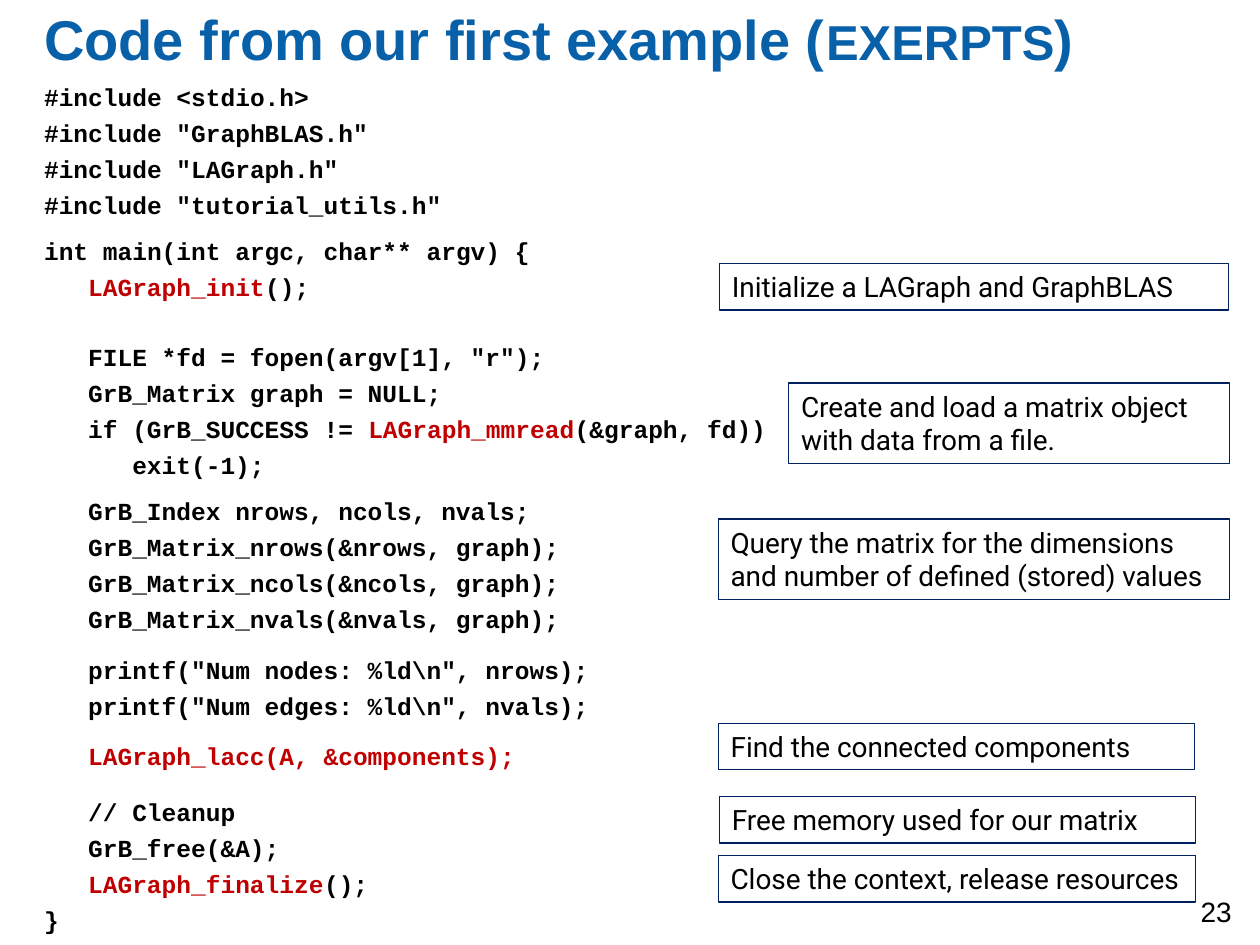
"""Build the annotated LAGraph example code slide."""
from dataclasses import dataclass

import pptx
import pptx.dml.color
import pptx.enum.shapes
import pptx.enum.text
import pptx.util
from pptx.util import Inches

COLORS = {"title": "0860A8", "text": "000000", "call": "C00000", "border": "002060"}
LINE_GAP = 3.75
INDENT = 0.35


@dataclass
class CodeLine:
    text: str = ""
    call: str = ""
    tail: str = ""
    level: int = 1
    gap: float = 0


@dataclass
class Callout:
    text: str
    left: float
    top: float
    width: float
    height: float = 0.37


CODE = [
    CodeLine("#include <stdio.h>", level=0),
    CodeLine('#include "GraphBLAS.h"', level=0),
    CodeLine('#include "LAGraph.h"', level=0),
    CodeLine('#include "tutorial_utils.h"', level=0),
    CodeLine("int main(int argc, char** argv) {", level=0, gap=6),
    CodeLine(call="LAGraph_init", tail="();"),
    CodeLine('FILE *fd = fopen(argv[1], "r");', gap=19.6),
    CodeLine("GrB_Matrix graph = NULL;"),
    CodeLine("if (GrB_SUCCESS != ", "LAGraph_mmread", "(&graph, fd))"),
    CodeLine("exit(-1);", level=2),
    CodeLine("GrB_Index nrows, ncols, nvals;", gap=5.6),
    CodeLine("GrB_Matrix_nrows(&nrows, graph);"),
    CodeLine("GrB_Matrix_ncols(&ncols, graph);"),
    CodeLine("GrB_Matrix_nvals(&nvals, graph);"),
    CodeLine(r'printf("Num nodes: %ld\n", nrows);', gap=8.4),
    CodeLine(r'printf("Num edges: %ld\n", nvals);'),
    CodeLine(call="LAGraph_lacc(A, &components);", gap=8.4),
    CodeLine("// Cleanup", gap=11.2),
    CodeLine("GrB_free(&A);"),
    CodeLine(call="LAGraph_finalize", tail="();"),
    CodeLine("}", level=0),
]

CALLOUTS = [
    Callout("Initialize a LAGraph and GraphBLAS", 5.71, 2.09, 4.04),
    Callout("Create and load a matrix object with data from a file.", 6.26, 3.04, 3.5, 0.64),
    Callout("Query the matrix for the dimensions and number of defined (stored) values",
            5.7, 4.12, 4.06, 0.64),
    Callout("Find the connected components", 5.7, 5.74, 3.78),
    Callout("Free memory used for our matrix", 5.71, 6.32, 3.78),
    Callout("Close the context, release resources", 5.7, 6.79, 3.79),
]


def rgb(name: str) -> pptx.dml.color.RGBColor:
    """Return the named colour."""
    return pptx.dml.color.RGBColor.from_string(COLORS[name])


def set_font(font, name: str, size: float, color: str, bold: bool = False) -> None:
    """Set typeface, size, colour and weight."""
    font.name, font.size, font.bold = name, pptx.util.Pt(size), bold
    font.color.rgb = rgb(color)


def add_box(s, left: float, top: float, width: float, height: float, inset: bool = True):
    """Add a wrapping text box and return its text frame."""
    tf = s.shapes.add_textbox(Inches(left), Inches(top), Inches(width), Inches(height)).text_frame
    tf.word_wrap = True
    if not inset:
        tf.margin_left = tf.margin_right = tf.margin_top = tf.margin_bottom = 0
    return tf


def add_title(s) -> None:
    """Add the title with its smaller last word."""
    tf = add_box(s, 0.35, 0, 9.01, 0.6, inset=False)
    tf.vertical_anchor = pptx.enum.text.MSO_ANCHOR.MIDDLE
    p = tf.paragraphs[0]
    for text, size in (("Code from our first example (", 32), ("EXERPTS", 28), (")", 32)):
        r = p.add_run()
        r.text = text
        set_font(r.font, "Arial", size, "title", True)


def add_code(s, lines: list[CodeLine]) -> None:
    """Add the listing with library calls highlighted."""
    tf = add_box(s, 0.35, 0.65, 6.36, 6.84, inset=False)
    for i, line in enumerate(lines):
        p = tf.add_paragraph() if i else tf.paragraphs[0]
        p.space_before = pptx.util.Pt(LINE_GAP + line.gap)
        p._p.get_or_add_pPr().set("marL", str(Inches(INDENT * line.level)))
        set_font(p.font, "Courier New", 14, "text", True)
        for text, color in ((line.text, "text"), (line.call, "call"), (line.tail, "text")):
            if text:
                r = p.add_run()
                r.text = text
                r.font.color.rgb = rgb(color)


def add_callout(s, c: Callout) -> None:
    """Add one outlined explanation."""
    sp = s.shapes.add_shape(pptx.enum.shapes.MSO_SHAPE.RECTANGLE, Inches(c.left),
                            Inches(c.top), Inches(c.width), Inches(c.height))
    sp.shadow.inherit = False
    sp.fill.background()
    sp.line.color.rgb = rgb("border")
    sp.line.width = pptx.util.Pt(0.75)
    tf = sp.text_frame
    tf.word_wrap = True
    tf.vertical_anchor = pptx.enum.text.MSO_ANCHOR.TOP
    p = tf.paragraphs[0]
    p.text = c.text
    p.alignment = pptx.enum.text.PP_ALIGN.LEFT
    set_font(p.font, "Roboto", 16, "text")


def add_page_number(s, number: int) -> None:
    """Add the page number in the corner."""
    p = add_box(s, 9.43, 7.05, 0.51, 0.33).paragraphs[0]
    p.text = str(number)
    set_font(p.font, "Arial", 16, "text")


def main() -> None:
    """Build and save the slide."""
    prs = pptx.Presentation()
    prs.slide_width, prs.slide_height = Inches(10), Inches(7.5)
    s = prs.slides.add_slide(prs.slide_layouts[6])
    add_code(s, CODE)
    add_title(s)
    add_page_number(s, 23)
    for callout in CALLOUTS:
        add_callout(s, callout)
    prs.save("out.pptx")


if __name__ == "__main__":
    main()
